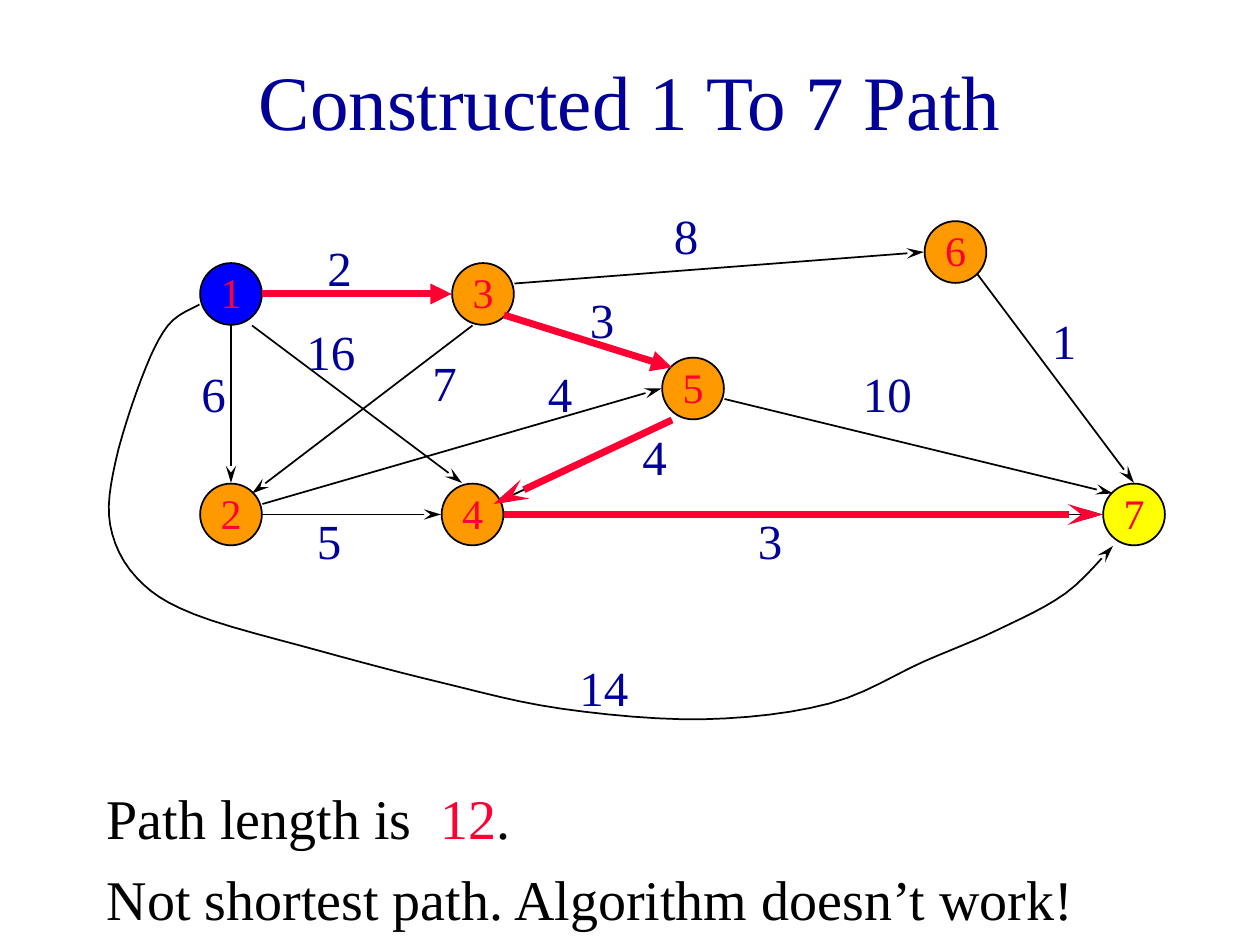
from lxml import etree
from pptx import Presentation
from pptx.dml.color import RGBColor
from pptx.enum.shapes import MSO_CONNECTOR, MSO_SHAPE
from pptx.enum.text import MSO_ANCHOR, PP_ALIGN
from pptx.oxml.ns import qn
from pptx.util import Inches, Pt

LINE, OVAL = MSO_CONNECTOR.STRAIGHT, MSO_SHAPE.OVAL
MID, TOP = MSO_ANCHOR.MIDDLE, MSO_ANCHOR.TOP
LEFT, CENTER = PP_ALIGN.LEFT, PP_ALIGN.CENTER

THEME = {
    "font": "Times New Roman",
    "navy": "000099", "red": "FF0033", "black": "000000",
    "blue": "0000FF", "orange": "FF9900", "yellow": "FFFF00",
    "title": 44, "body": 32, "label": 28, "node": 24,
    "thin": 1, "thick": 4,
}

# Content: places are columns and rows of a 120 by 90 grid
COLS = 120
TITLE = "Constructed 1 To 7 Path"
NOTES = [
    [("Path length is\t", "black"), ("12", "red"), (".", "black")],
    [("Not shortest path. Algorithm doesn’t work!", "black")],
]
NODES = {  # name: centre
    "1": (22, 28), "2": (22, 49), "3": (46, 28), "4": (45, 49),
    "5": (66, 37), "6": (91, 24), "7": (108, 49),
}
FILLS = {"1": "blue", "7": "yellow"}  # start and goal; the rest are orange

# Edges: from, to, offset from each centre, cost, left top of the cost
EDGES = [
    ("1", "2", (0, 3), (0, -3), "6", (18, 34)),
    ("1", "3", (3, 0), (-3, 0), "2", (30, 22)),
    ("1", "4", (2, 3), (-1, -3), "16", (28, 30)),
    ("2", "4", (3, 0), (-3, 0), "5", (29, 48)),
    ("2", "5", (3, -1), (-3, 0), "4", (51, 34)),
    ("3", "2", (-1, 3), (2, -2), "7", (40, 33)),
    ("3", "5", (2, 2), (-2, -2), "3", (55, 27)),
    ("3", "6", (3, -1), (-3, 0), "8", (63, 19)),
    ("4", "7", (3, 0), (-3, 0), "3", (71, 48)),
    ("5", "4", (-2, 3), (2, -1), "4", (60, 40)),
    ("5", "7", (3, 1), (-2, -2), "10", (81, 34)),
    ("6", "7", (2, 2), (0, -3), "1", (99, 29)),
    ("1", "7", (-3, 1), (-2, 3), "14", (54, 62)),
]
# Edges that bend run smoothly through these points
BENDS = {
    ("1", "7"): [
        (16, 31), (13.5, 36), (11, 44), (10.5, 50), (13, 55), (18.5, 58.5),
        (30.5, 62), (42, 65), (53.5, 67.5), (67, 68.5), (79, 67), (88, 63),
        (95, 60), (101.5, 56.5),
    ],
}
# Edges of the chosen path, with their arrowheads
ROUTE = {
    ("1", "3"): "triangle", ("3", "5"): "triangle",
    ("5", "4"): "stealth", ("4", "7"): "stealth",
}
HEADS = {"triangle": "med", "stealth": "lg"}  # arrowhead lengths

deck = Presentation()
deck.slide_width, deck.slide_height = Inches(10), Inches(7.5)
shapes = deck.slides.add_slide(deck.slide_layouts[6]).shapes
UNIT = deck.slide_width // COLS
SIZE = Inches(0.49)


def grid(*cells):
    return [round(UNIT * n) for n in cells]


def shift(point, offset):
    return point[0] + offset[0], point[1] + offset[1]


def smooth(knots, steps=6):
    """Points of a Catmull-Rom curve through all knots."""
    ends = [knots[0], *knots, knots[-1]]
    points = [knots[0]]
    for a, b, c, d in zip(ends, ends[1:], ends[2:], ends[3:]):
        for i in range(1, steps + 1):
            t = i / steps
            points.append(tuple(
                q + t / 2 * (r - p + t * (2 * p - 5 * q + 4 * r - s
                                          + t * (3 * (q - r) + s - p)))
                for p, q, r, s in zip(a, b, c, d)))
    return points


def style(run, size, color):
    run.font.name = THEME["font"]
    run.font.size = Pt(THEME[size])
    run.font.color.rgb = RGBColor.from_string(THEME[color])


def outline(shape, color="black", width="thin", head=None):
    shape.line.color.rgb = RGBColor.from_string(THEME[color])
    shape.line.width = Pt(THEME[width])
    props = shape.element.spPr
    if head:
        etree.SubElement(props.find(qn("a:ln")), qn("a:tailEnd"),
                         type=head, w="med", len=HEADS[head])
    etree.SubElement(props, qn("a:effectLst"))


def draw_edge(edge, color, width, head):
    tail, tip, leave, reach = edge[:4]
    start, end = shift(NODES[tail], leave), shift(NODES[tip], reach)
    bends = BENDS.get((tail, tip))
    if bends:
        first, *rest = [grid(*p) for p in smooth([start, *bends, end])]
        pen = shapes.build_freeform(*first)
        pen.add_line_segments(rest, close=False)
        shape = pen.convert_to_shape()
        shape.fill.background()
    else:
        shape = shapes.add_connector(LINE, *grid(*start, *end))
    outline(shape, color, width, head)


def draw_node(name, center):
    x, y = grid(*center)
    node = shapes.add_shape(OVAL, x - SIZE // 2, y - SIZE // 2, SIZE, SIZE)
    node.fill.solid()
    node.fill.fore_color.rgb = RGBColor.from_string(THEME[FILLS.get(name, "orange")])
    outline(node)
    frame = node.text_frame
    frame.margin_left = frame.margin_right = frame.margin_top = 0
    frame.margin_bottom = Inches(0.03)
    frame.word_wrap = False
    frame.vertical_anchor = MID
    frame.text = name
    para = frame.paragraphs[0]
    para.alignment = CENTER
    style(para.runs[0], "node", "red")


def add_text(place, lines, size, align=LEFT, anchor=TOP):
    frame = shapes.add_textbox(*grid(*place)).text_frame
    frame.word_wrap = True
    frame.vertical_anchor = anchor
    for i, line in enumerate(lines):
        para = frame.add_paragraph() if i else frame.paragraphs[0]
        para.alignment = align
        if i:
            para.space_before = Pt(8)
        for text, color in line:
            run = para.add_run()
            run.text = text
            style(run, size, color)
    return frame


# Title
add_text((9, 2, 102, 15), [[(TITLE, "navy")]], "title", CENTER, MID)

# Graph: edges, then nodes and costs on top
for edge in EDGES:
    draw_edge(edge, "black", "thin", "stealth")
for name, center in NODES.items():
    draw_node(name, center)
for *_, cost, (col, row) in EDGES:
    add_text((col, row, 2 + 3 * len(cost), 7), [[(cost, "navy")]], "label")

# Chosen path, over the thin edges
for edge in EDGES:
    if edge[:2] in ROUTE:
        draw_edge(edge, "red", "thick", ROUTE[edge[:2]])

# Findings, with a tab stop before the path length
notes = add_text((9, 74, 102, 15), NOTES, "body")
tabs = etree.SubElement(notes.paragraphs[0]._p.get_or_add_pPr(), qn("a:tabLst"))
etree.SubElement(tabs, qn("a:tab"), pos=str(Inches(2.65)), algn="l")

deck.save("out.pptx")
